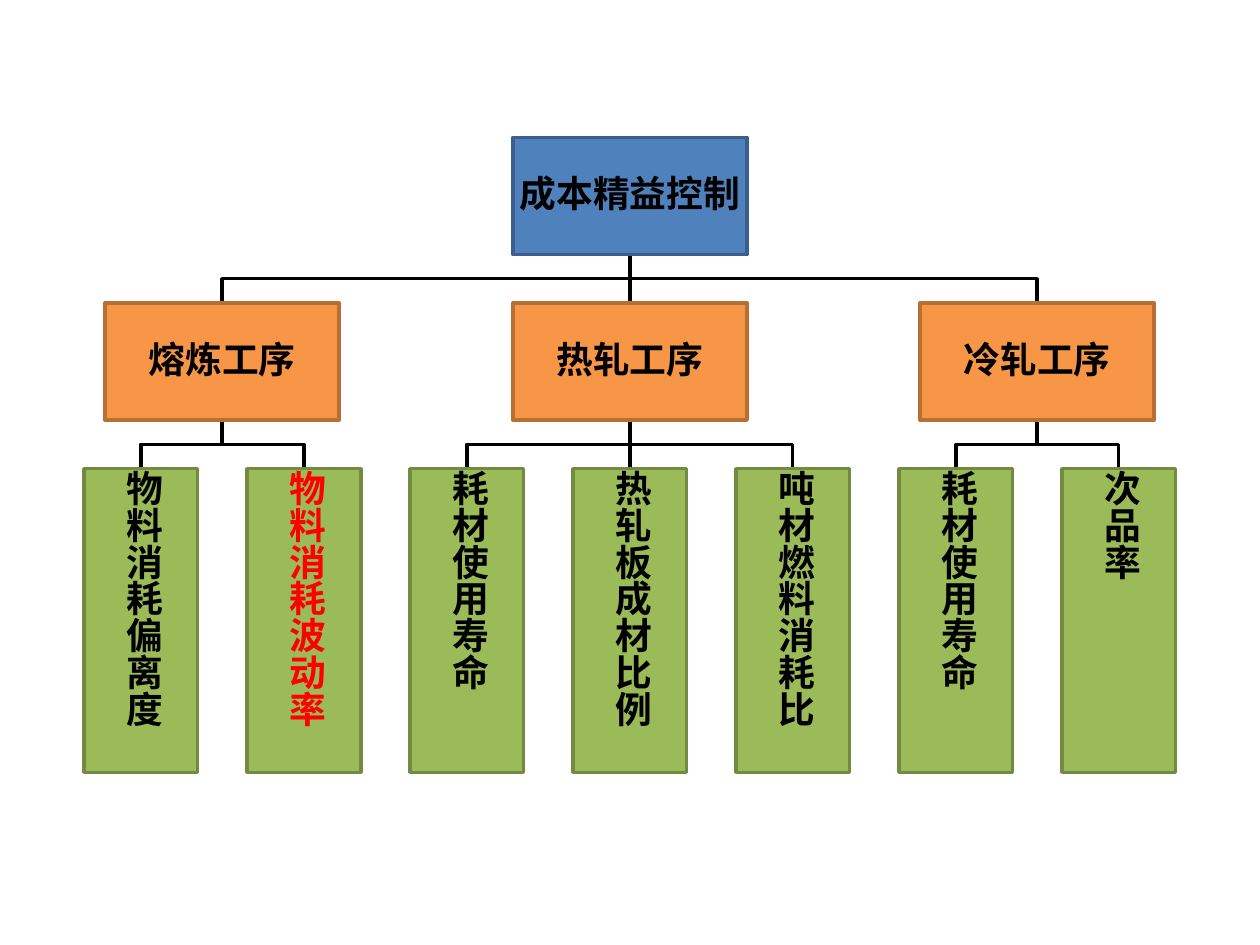
from pptx import Presentation
from pptx.dml.color import RGBColor
from pptx.enum.shapes import MSO_SHAPE
from pptx.enum.text import MSO_ANCHOR, PP_ALIGN
from pptx.oxml.ns import qn
from pptx.util import Cm, Pt
from lxml.etree import SubElement

COLORS = {
    "root": "4F81BD", "root_line": "3A5F8C",
    "process": "F79646", "process_line": "B76F34",
    "metric": "9BBB59", "metric_line": "738A42",
    "text": "000000", "alert": "FF0000", "link": "000000",
}
FONT = "Noto Sans CJK SC"
# level: (top, width, height) in cm
LEVELS = {
    "root": (2.77, 4.72, 2.36),
    "process": (6.11, 4.72, 2.36),
    "metric": (9.45, 2.29, 6.12),
}
PROCESSES = [
    ("熔炼工序", ["物料消耗偏离度", "物料消耗波动率"]),
    ("热轧工序", ["耗材使用寿命", "热轧板成材比例", "吨材燃料消耗比"]),
    ("冷轧工序", ["耗材使用寿命", "次品率"]),
]
ALERT_METRIC = "物料消耗波动率"
CENTER, PITCH = 12.7, 3.285

prs = Presentation()
prs.slide_width, prs.slide_height = Cm(25.4), Cm(19.05)
s = prs.slides.add_slide(prs.slide_layouts[6])


def add_link(x1, parent, x2, child):
    """Draw a stepped line from the foot of a parent to the top of a child."""
    y1 = LEVELS[parent][0] + LEVELS[parent][2]
    y2 = LEVELS[child][0]
    mid = (y1 + y2) / 2
    points = [(x1, mid), (x2, mid), (x2, y2)] if x1 != x2 else [(x2, y2)]
    fb = s.shapes.build_freeform(Cm(x1), Cm(y1))
    fb.add_line_segments([(Cm(x), Cm(y)) for x, y in points], close=False)
    sp = fb.convert_to_shape()
    sp.shadow.inherit = False
    sp.fill.background()
    sp.line.color.rgb = RGBColor.from_string(COLORS["link"])
    sp.line.width = Pt(2)


def add_box(x, level, text):
    top, width, height = LEVELS[level]
    sp = s.shapes.add_shape(MSO_SHAPE.RECTANGLE, Cm(x - width / 2), Cm(top),
                            Cm(width), Cm(height))
    sp.shadow.inherit = False
    sp.fill.solid()
    sp.fill.fore_color.rgb = RGBColor.from_string(COLORS[level])
    sp.line.color.rgb = RGBColor.from_string(COLORS[level + "_line"])
    sp.line.width = Pt(2)
    tf = sp.text_frame
    tf.word_wrap = True
    tf.vertical_anchor = MSO_ANCHOR.MIDDLE
    tf.margin_left = tf.margin_right = tf.margin_top = tf.margin_bottom = Cm(0.03)
    if level == "metric":
        tf._txBody.bodyPr.set("vert", "eaVert")
    p = tf.paragraphs[0]
    p.text = text
    p.alignment = PP_ALIGN.CENTER
    p.line_spacing = 0.9
    p.font.size, p.font.bold, p.font.name = Pt(21), True, FONT
    color = "alert" if text == ALERT_METRIC else "text"
    p.font.color.rgb = RGBColor.from_string(COLORS[color])
    SubElement(p.font._element, qn("a:ea")).set("typeface", FONT)


# Metrics sit at an equal pitch; each process is centred over its own metrics.
count = sum(len(metrics) for _, metrics in PROCESSES)
left = CENTER - PITCH * (count - 1) / 2
boxes = [(CENTER, "root", "成本精益控制")]
column = 0
for process, metrics in PROCESSES:
    xs = [round(left + PITCH * (column + i), 2) for i in range(len(metrics))]
    column += len(metrics)
    x_process = round((xs[0] + xs[-1]) / 2, 2)
    add_link(CENTER, "root", x_process, "process")
    boxes.append((x_process, "process", process))
    for x, metric in zip(xs, metrics):
        add_link(x_process, "process", x, "metric")
        boxes.append((x, "metric", metric))

for box in boxes:
    add_box(*box)

prs.save("out.pptx")
